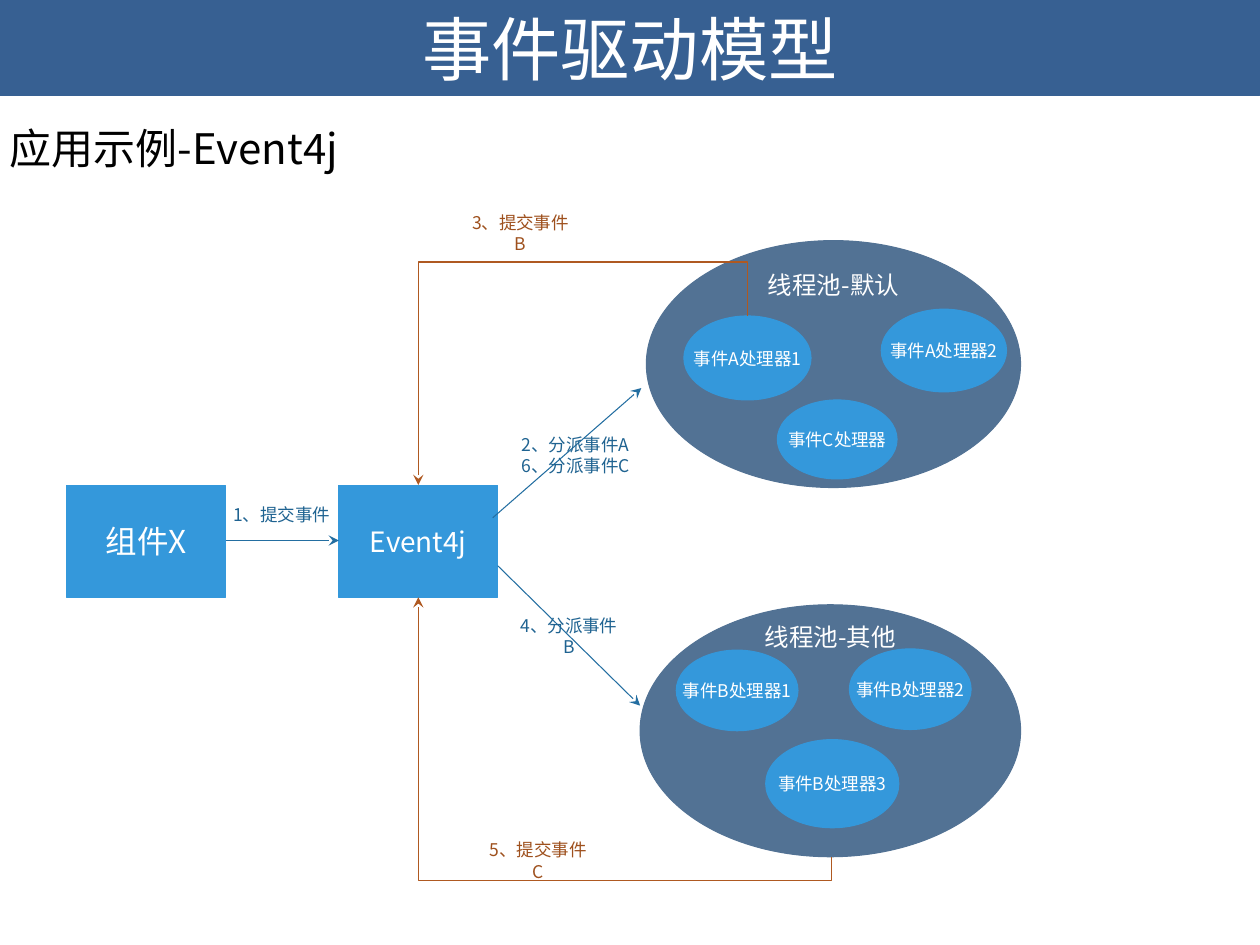
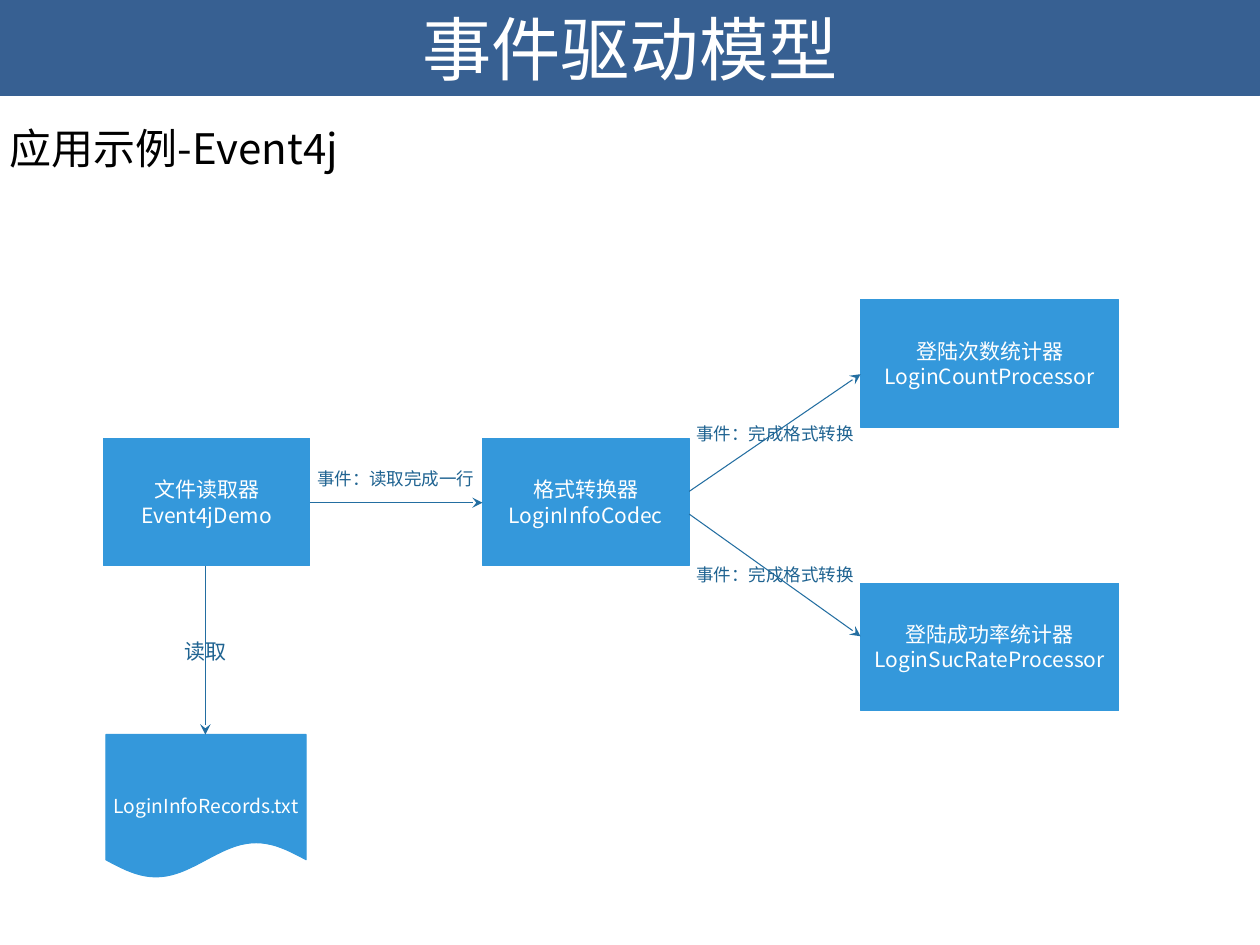
import math
from pptx import Presentation, util as u
from pptx.dml.color import RGBColor
from pptx.enum import shapes, text
from pptx.oxml import parse_xml
from pptx.oxml.ns import nsdecls, qn

FONT = "Noto Sans CJK SC"
BAND, POOL, NODE = "376092", "527294", "3498DB"
BLUE, BLUE_TEXT, BROWN, BROWN_TEXT = "236EA1", "1F6391", "AF5921", "9E501D"
COLS, ROWS = 100, 75

prs = Presentation()
prs.slide_width, prs.slide_height = u.Inches(10), u.Inches(7.5)


def rgb(value):
    """Turn a hex string into a colour."""
    return RGBColor.from_string(value)


def col(n):
    """Give the length of n grid columns."""
    return round(prs.slide_width * n / COLS)


def row(n):
    """Give the length of n grid rows."""
    return round(prs.slide_height * n / ROWS)


def place(box):
    """Turn a box in grid cells into left, top, width and height."""
    x, y, w, h = box
    return col(x), row(y), col(w), row(h)


def centred(x, y, w, h):
    """Give the box of a size around a centre."""
    return x - w / 2, y - h / 2, w, h


def write(sp, lines, size=10, color="FFFFFF", align="CENTER", anchor="MIDDLE", inset=0.4):
    """Fill a shape with lines of text in one format."""
    tf = sp.text_frame
    tf.word_wrap = True
    tf.vertical_anchor = text.MSO_ANCHOR[anchor]
    tf.margin_left = tf.margin_right = col(inset)
    tf.margin_top = tf.margin_bottom = 0
    for i, line in enumerate(lines.split("\n")):
        p = tf.add_paragraph() if i else tf.paragraphs[0]
        p.alignment = text.PP_ALIGN[align]
        r = p.add_run()
        r.text = line
        r.font.size, r.font.name = u.Pt(size), FONT
        r.font.color.rgb = rgb(color)
        r._r.get_or_add_rPr().append(parse_xml(f'<a:ea {nsdecls("a")} typeface="{FONT}"/>'))


def label(s, box, lines, **fmt):
    """Add a text box."""
    write(s.shapes.add_textbox(*place(box)), lines, **fmt)


def paint(sp, color):
    """Give a shape a plain fill with a thin line of the same colour."""
    sp.shadow.inherit = False
    sp.fill.solid()
    sp.fill.fore_color.rgb = sp.line.color.rgb = rgb(color)
    sp.line.width = u.Pt(0.6)


def shape(s, kind, box, color):
    """Add a painted preset shape."""
    sp = s.shapes.add_shape(shapes.MSO_SHAPE[kind], *place(box))
    paint(sp, color)
    return sp


def node(s, box, lines, size=12):
    """Add a box of the flow with its name."""
    write(shape(s, "RECTANGLE", box, NODE), lines, size=size)


def outline(s, points, close):
    """Build a freeform through points of the grid."""
    dots = [(col(x), row(y)) for x, y in points]
    fb = s.shapes.build_freeform(*dots[0])
    fb.add_line_segments(dots[1:], close=close)
    return fb.convert_to_shape()


def arrow_line(sp, color):
    """Style a line with an arrowhead at its end."""
    sp.line.color.rgb, sp.line.width = rgb(color), u.Pt(0.6)
    sp.line._get_or_add_ln().append(parse_xml(f'<a:tailEnd {nsdecls("a")} type="stealth"/>'))
    if sp._element.spPr.find(qn("a:effectLst")) is None:
        sp._element.spPr.append(parse_xml(f'<a:effectLst {nsdecls("a")}/>'))


def arrow(s, start, end):
    """Draw a straight blue arrow."""
    (x1, y1), (x2, y2) = start, end
    arrow_line(s.shapes.add_connector(shapes.MSO_CONNECTOR.STRAIGHT,
                                      col(x1), row(y1), col(x2), row(y2)), BLUE)


def return_arrow(s, start, level, end):
    """Draw a brown arrow that runs along a level back to its end."""
    sp = outline(s, [start, (start[0], level), (end[0], level), end], False)
    sp.fill.background()
    sp.shadow.inherit = False
    arrow_line(sp, BROWN)


def pool(s, box, title, title_share, handlers):
    """Draw a thread pool with handlers at shares of its box."""
    x, y, w, h = box
    shape(s, "OVAL", box, POOL)
    label(s, centred(x + w / 2, y + h * title_share, w, 3), title, size=14)
    for name, cx, cy, share in handlers:
        spot = centred(x + w * cx, y + h * cy, w * share, h * share)
        shape(s, "OVAL", spot, NODE)
        label(s, spot, name)


def document(s, box, name):
    """Draw a file with a wavy lower edge."""
    x, y, w, h = box
    wave = h * 0.12
    edge = [(x + w * (1 - i / 40), y + h - wave - wave * math.sin(math.pi * i / 20))
            for i in range(41)]
    paint(outline(s, [(x, y), (x + w, y)] + edge, True), NODE)
    label(s, box, name, size=11)


def new_slide():
    """Start a slide with the shared title band and heading."""
    s = prs.slides.add_slide(prs.slide_layouts[6])
    write(shape(s, "RECTANGLE", (0, 0, COLS, 7.6), BAND), "事件驱动模型", size=39.6)
    label(s, (-0.2, 9.7, COLS, 6), "应用示例-Event4j", size=24, color="000000",
          align="LEFT", anchor="TOP", inset=1)
    return s


def pools_slide():
    """Show how events pass between the component and the pools."""
    s = new_slide()
    pool(s, (51.3, 19.1, 29.7, 19.6), "线程池-默认", 0.18,
         [("事件A处理器1", 0.27, 0.475, 0.34), ("事件A处理器2", 0.795, 0.445, 0.335),
          ("事件C处理器", 0.51, 0.805, 0.32)])
    pool(s, (50.8, 48, 30.2, 20), "线程池-其他", 0.125,
         [("事件B处理器1", 0.255, 0.34, 0.32), ("事件B处理器2", 0.71, 0.335, 0.32),
          ("事件B处理器3", 0.505, 0.71, 0.35)])
    node(s, (5.3, 38.5, 12.6, 8.9), "组件X", size=18)
    node(s, (26.9, 38.5, 12.6, 8.9), "Event4j", size=16)
    arrow(s, (17.9, 42.9), (26.9, 42.9))
    arrow(s, (39.1, 41.1), (50.9, 30.8))
    arrow(s, (39.5, 44.9), (50.8, 56))
    return_arrow(s, (59.3, 25.1), 20.8, (33.2, 38.5))
    return_arrow(s, (66, 68), 69.9, (33.2, 47.4))
    label(s, (41, 33.1, 12.8, 6.1), "2、分派事件A\n6、分派事件C", color=BLUE_TEXT, align="LEFT")
    for name, x, y, color in [("1、提交事件", 22.35, 40.8, BLUE_TEXT),
                              ("4、分派事件B", 45.15, 50.5, BLUE_TEXT),
                              ("3、提交事件B", 41.3, 18.5, BROWN_TEXT),
                              ("5、提交事件C", 42.7, 68.3, BROWN_TEXT)]:
        label(s, centred(x, y, 9.2, 3.6), name, color=color)


def login_slide():
    """Show the login statistics flow."""
    s = new_slide()
    for x, y, w, name in [(8.2, 34.8, 16.4, "文件读取器\nEvent4jDemo"),
                          (38.3, 34.8, 16.4, "格式转换器\nLoginInfoCodec"),
                          (68.3, 23.8, 20.5, "登陆次数统计器\nLoginCountProcessor"),
                          (68.3, 46.3, 20.5, "登陆成功率统计器\nLoginSucRateProcessor")]:
        node(s, (x, y, w, 10.1), name)
    document(s, (8.4, 58.3, 15.9, 11.3), "LoginInfoRecords.txt")
    for start, end, name, x, y, size in [
            ((24.6, 39.9), (38.3, 39.9), "事件：读取完成一行", 31.4, 38, 10),
            ((54.7, 39), (68.3, 29.7), "事件：完成格式转换", 61.5, 34.4, 10),
            ((16.3, 44.9), (16.3, 58.3), "读取", 16.3, 51.7, 12),
            ((54.7, 40.8), (68.3, 50.5), "事件：完成格式转换", 61.5, 45.6, 10)]:
        arrow(s, start, end)
        label(s, centred(x, y, 14.2, 3.4), name, size=size, color=BLUE_TEXT)


pools_slide()
login_slide()
prs.save("out.pptx")
